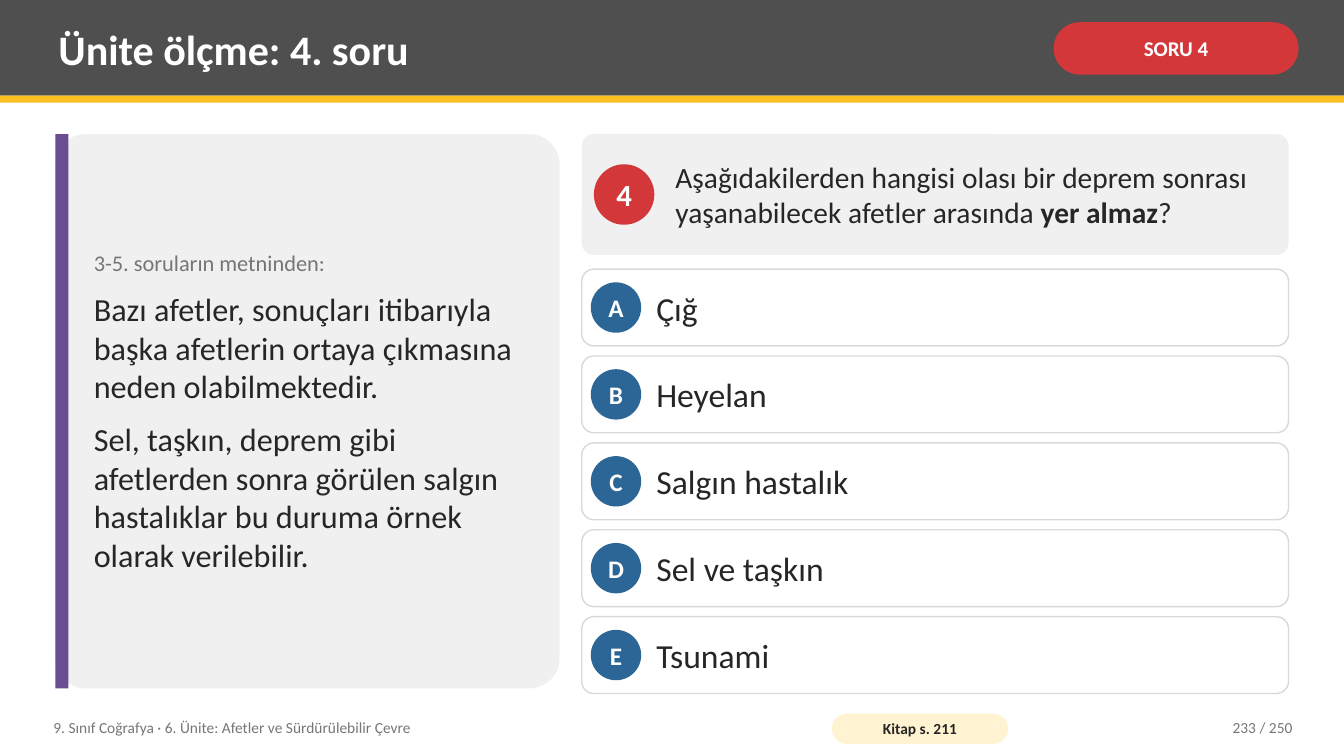
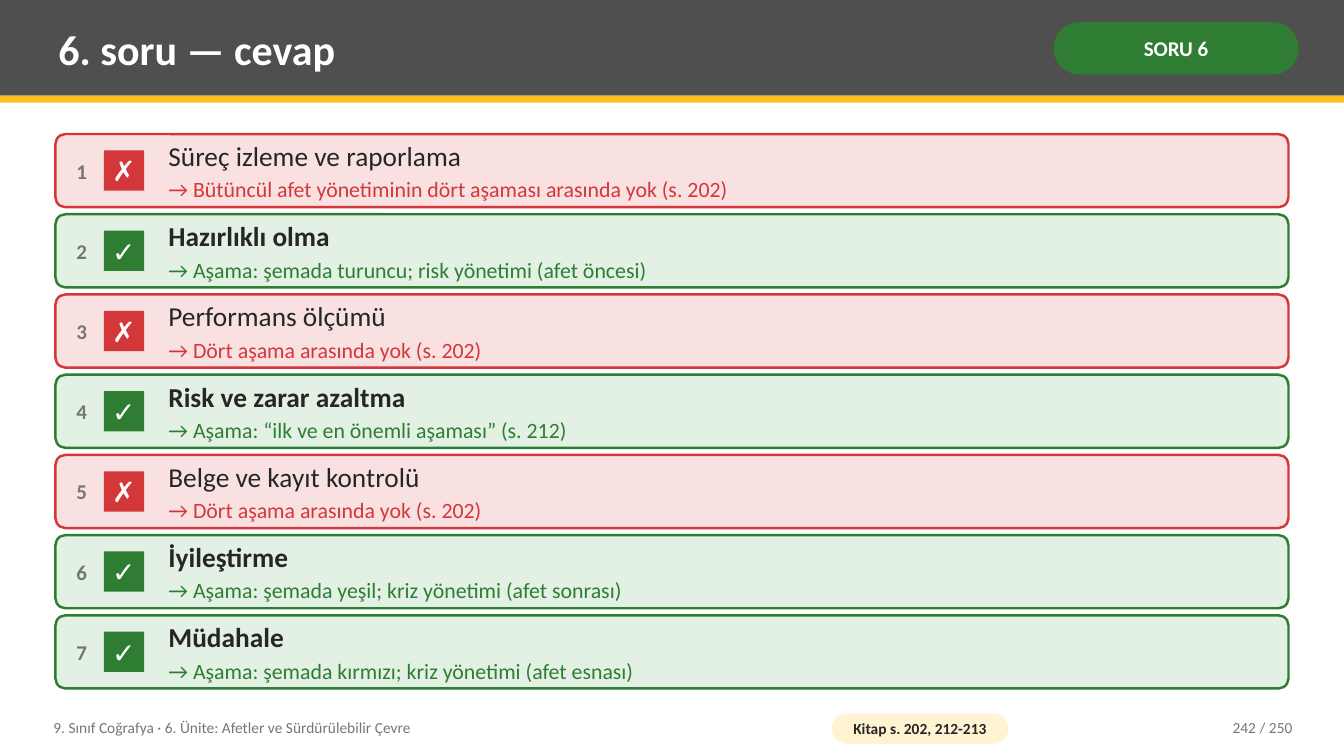
from typing import NamedTuple

from pptx import Presentation
from pptx.dml.color import RGBColor
from pptx.enum.shapes import MSO_SHAPE
from pptx.enum.text import MSO_ANCHOR, MSO_AUTO_SIZE, PP_ALIGN
from pptx.util import Inches, Pt

COLORS = {
    "band": "4F4F4F",
    "accent": "FCC021",
    "white": "FFFFFF",
    "ink": "262626",
    "muted": "767676",
    "panel": "F0F0F0",
    "outline": "D9D9D9",
    "purple": "6A4C93",
    "blue": "2C6696",
    "red": "D3373A",
    "pale_red": "F9E1E1",
    "green": "2E7D32",
    "pale_green": "E3F1E4",
    "cream": "FFF3D1",
}
FONT = "Calibri"
SLIDE_WIDTH, SLIDE_HEIGHT = 13.33, 7.5
PADDING = (0.08, 0.04)
FOOTER = "9. Sınıf Coğrafya · 6. Ünite: Afetler ve Sürdürülebilir Çevre"
PAGE_COUNT = 250


class Box(NamedTuple):
    """A rectangle measured in inches."""

    left: float
    top: float
    width: float
    height: float

    def inner(self, left, top, width, height):
        """Return a box placed relative to this one."""
        return Box(self.left + left, self.top + top, width, height)

    def lengths(self):
        """Return the four measures as slide lengths."""
        return [Inches(value) for value in self]

    def rows(self, count, gap):
        """Split the box into equal rows with equal gaps."""
        height = (self.height - gap * (count - 1)) / count
        return [self.inner(0, index * (height + gap), self.width, height) for index in range(count)]


CONTENT = Box(0.55, 1.33, 12.23, 5.5)


def rgb(name):
    """Return a palette colour."""
    return RGBColor.from_string(COLORS[name])


def span(text, size, color="ink", bold=False):
    """Describe one run of text."""
    return text, color, {"name": FONT, "size": Pt(size), "bold": bold}


def write(shape, paragraphs, align=PP_ALIGN.LEFT, padding=PADDING, after=0):
    """Fill a shape with paragraphs, each a list of spans."""
    frame = shape.text_frame
    side, edge = (Inches(value) for value in padding)
    settings = {
        "word_wrap": True,
        "auto_size": MSO_AUTO_SIZE.NONE,
        "vertical_anchor": MSO_ANCHOR.MIDDLE,
        "margin_left": side,
        "margin_right": side,
        "margin_top": edge,
        "margin_bottom": edge,
    }
    for name, value in settings.items():
        setattr(frame, name, value)
    for index, spans in enumerate(paragraphs):
        para = frame.add_paragraph() if index else frame.paragraphs[0]
        para.alignment = align
        if index < len(paragraphs) - 1:
            para.space_after = Pt(after)
        for text, color, font in spans:
            run = para.add_run()
            run.text = text
            run.font.color.rgb = rgb(color)
            for name, value in font.items():
                setattr(run.font, name, value)


def add_text(page, box, paragraphs, **options):
    """Add a text box."""
    write(page.shapes.add_textbox(*box.lengths()), paragraphs, **options)


def add_block(page, box, fill, kind=MSO_SHAPE.RECTANGLE, radius=None, line=None, line_width=1):
    """Add a filled shape, with rounded corners if a radius is given."""
    if radius is not None:
        kind = MSO_SHAPE.ROUNDED_RECTANGLE
    shape = page.shapes.add_shape(kind, *box.lengths())
    shape.shadow.inherit = False
    shape.fill.solid()
    shape.fill.fore_color.rgb = rgb(fill)
    if radius is not None:
        shape.adjustments[0] = radius / min(box.width, box.height)
    if line:
        shape.line.color.rgb = rgb(line)
        shape.line.width = Pt(line_width)
    else:
        shape.line.fill.background()
    return shape


def add_label(page, box, fill, label, padding=(0, 0), **options):
    """Add a filled shape holding one centred span."""
    shape = add_block(page, box, fill, **options)
    write(shape, [[label]], align=PP_ALIGN.CENTER, padding=padding)


def add_pill(page, box, fill, label, padding):
    """Add a label with fully rounded ends."""
    add_label(page, box, fill, label, padding, radius=box.height / 2)


def add_header(page, box, title, badge, badge_color):
    """Place the title band, its accent line and the question badge."""
    add_block(page, box, "band")
    add_block(page, box.inner(0, box.height, box.width, 0.07), "accent")
    heading = page.shapes.title
    page.shapes.element.append(heading.element)
    place = box.inner(0.5, 0.07, 9.75, 0.82).lengths()
    for name, value in zip(("left", "top", "width", "height"), place):
        setattr(heading, name, value)
    write(heading, [[span(title, 30, "white", True)]])
    add_pill(page, box.inner(10.45, 0.22, 2.43, 0.52), badge_color,
             span(badge, 15, "white", True), (0.05, 0.02))


def add_footer(page, box, source, number):
    """Place the course name, book reference and page number."""
    add_text(page, box.inner(0, 0, 7.6, box.height), [[span(FOOTER, 11, "muted")]])
    add_pill(page, box.inner(7.8, 0.04, 1.75, 0.3), "cream",
             span(source, 11, bold=True), (0.04, 0))
    add_text(page, box.inner(10.85, 0, 1.6, box.height),
             [[span(f"{number} / {PAGE_COUNT}", 11, "muted")]], align=PP_ALIGN.RIGHT)


def add_page(deck, title, badge, badge_color, source, number):
    """Add a slide with the shared header and footer."""
    page = deck.slides.add_slide(deck.slide_layouts[5])
    add_header(page, Box(0, 0, SLIDE_WIDTH, 0.95), title, badge, badge_color)
    add_footer(page, Box(0.45, 7.04, 12.45, 0.36), source, number)
    return page


def add_passage(page, box, intro, sentences):
    """Place the reading passage with its side stripe."""
    add_block(page, box, "panel", radius=0.3)
    add_block(page, box.inner(0, 0, 0.13, box.height), "purple")
    paragraphs = [[span(intro, 16, "muted")]] + [[span(text, 23)] for text in sentences]
    add_text(page, box.inner(0.3, 0, box.width - 0.45, box.height), paragraphs, after=10)


def add_prompt(page, box, number, spans):
    """Place the question with its numbered circle."""
    add_block(page, box, "panel", radius=0.12)
    add_label(page, box.inner(0.12, (box.height - 0.6) / 2, 0.6, 0.6), "red",
              span(number, 22, "white", True), kind=MSO_SHAPE.OVAL)
    add_text(page, box.inner(0.85, 0, box.width - 0.95, box.height), [spans])


def add_option(page, box, letter, answer):
    """Place one answer option."""
    add_block(page, box, "white", radius=0.12, line="outline")
    add_label(page, box.inner(0.09, (box.height - 0.5) / 2, 0.5, 0.5), "blue",
              span(letter, 18, "white", True), kind=MSO_SHAPE.OVAL)
    add_text(page, box.inner(0.66, 0, box.width - 0.74, box.height), [[span(answer, 24)]])


def add_verdict(page, box, number, correct, statement, reason):
    """Place one statement marked right or wrong."""
    color, mark = ("green", "✓") if correct else ("red", "✗")
    add_block(page, box, f"pale_{color}", radius=0.1, line=color, line_width=1.75)
    add_text(page, box.inner(0.06, 0, 0.4, box.height),
             [[span(str(number), 15, "muted", True)]],
             align=PP_ALIGN.CENTER, padding=(0, 0.04))
    add_label(page, box.inner(0.48, (box.height - 0.4) / 2, 0.4, 0.4), color,
              span(mark, 20, "white", True))
    add_text(page, box.inner(1.04, 0, box.width - 1.12, box.height),
             [[span(statement, 19.5, bold=correct)], [span(f"→ {reason}", 15.6, color)]],
             after=3)


def build_question(deck):
    """Build the multiple-choice question slide."""
    page = add_page(deck, "Ünite ölçme: 4. soru", "SORU 4", "red", "Kitap s. 211", 233)
    add_passage(page, CONTENT.inner(0, 0, 5, CONTENT.height), "3-5. soruların metninden:", [
        "Bazı afetler, sonuçları itibarıyla başka afetlerin ortaya çıkmasına neden olabilmektedir.",
        "Sel, taşkın, deprem gibi afetlerden sonra görülen salgın hastalıklar bu duruma örnek "
        "olarak verilebilir.",
    ])
    add_prompt(page, CONTENT.inner(5.22, 0, 7.01, 1.2), "4", [
        span("Aşağıdakilerden hangisi olası bir deprem sonrası yaşanabilecek afetler arasında ", 21),
        span("yer almaz", 21, bold=True),
        span("?", 21),
    ])
    answers = ["Çığ", "Heyelan", "Salgın hastalık", "Sel ve taşkın", "Tsunami"]
    rows = CONTENT.inner(5.22, 1.34, 7.01, 4.21).rows(len(answers), 0.1)
    for box, letter, answer in zip(rows, "ABCDE", answers):
        add_option(page, box, letter, answer)


def build_answer(deck):
    """Build the answer slide with its marked statements."""
    page = add_page(deck, "6. soru — cevap", "SORU 6", "green", "Kitap s. 202, 212-213", 242)
    verdicts = [
        (False, "Süreç izleme ve raporlama",
         "Bütüncül afet yönetiminin dört aşaması arasında yok (s. 202)"),
        (True, "Hazırlıklı olma", "Aşama: şemada turuncu; risk yönetimi (afet öncesi)"),
        (False, "Performans ölçümü", "Dört aşama arasında yok (s. 202)"),
        (True, "Risk ve zarar azaltma", "Aşama: “ilk ve en önemli aşaması” (s. 212)"),
        (False, "Belge ve kayıt kontrolü", "Dört aşama arasında yok (s. 202)"),
        (True, "İyileştirme", "Aşama: şemada yeşil; kriz yönetimi (afet sonrası)"),
        (True, "Müdahale", "Aşama: şemada kırmızı; kriz yönetimi (afet esnası)"),
    ]
    rows = CONTENT.rows(len(verdicts), 0.07)
    for number, (box, verdict) in enumerate(zip(rows, verdicts), 1):
        add_verdict(page, box, number, *verdict)


def main():
    """Build and save the deck."""
    deck = Presentation()
    deck.slide_width = Inches(SLIDE_WIDTH)
    deck.slide_height = Inches(SLIDE_HEIGHT)
    build_question(deck)
    build_answer(deck)
    deck.save("out.pptx")


if __name__ == "__main__":
    main()
